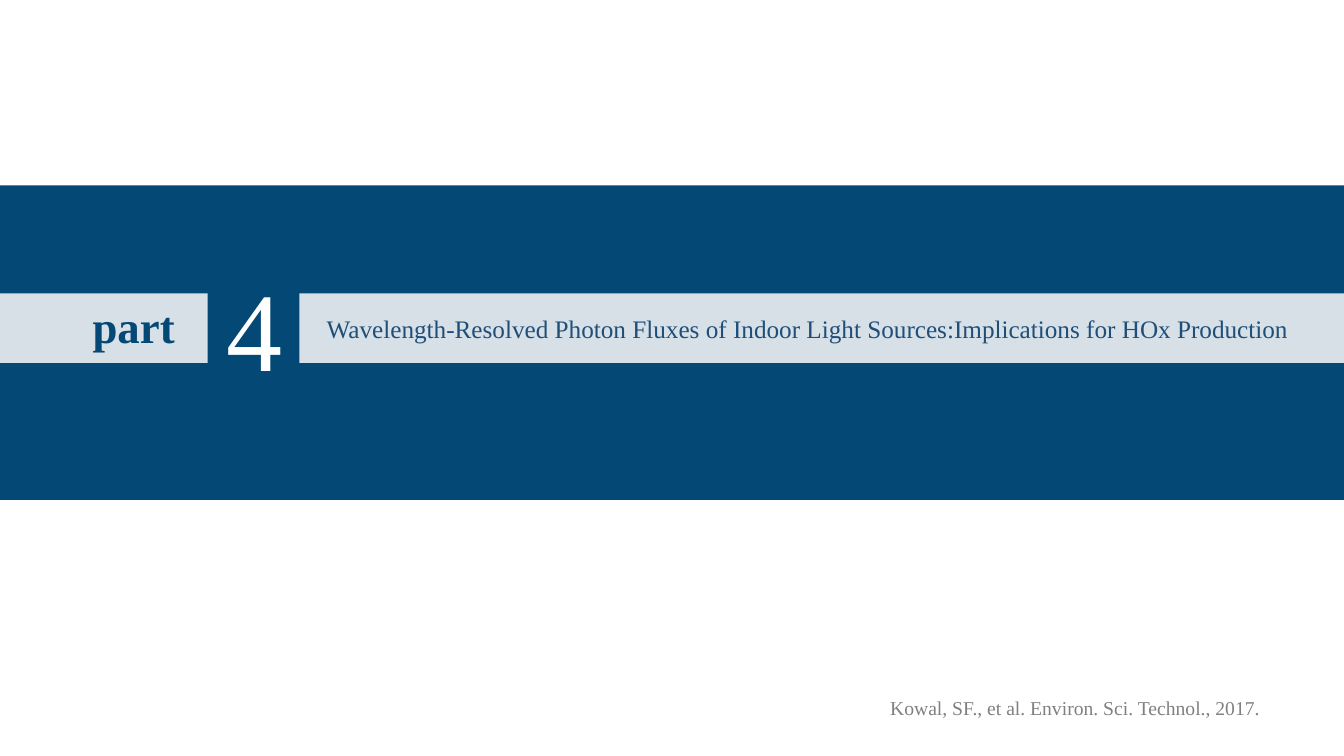
import pptx
import pptx.util
import pptx.dml.color
import pptx.enum.shapes
import pptx.enum.text

Inches = pptx.util.Inches
ALIGN = pptx.enum.text.PP_ALIGN

FONT = "Times New Roman"
COLORS = {
    "navy": "044875",
    "pale": "D6E0E6",
    "title": "1F4E79",
    "white": "FFFFFF",
    "grey": "808080",
}
WIDTH, HEIGHT = 13.33, 7.5
STRIP_TOP, STRIP_HEIGHT = 2.91, 0.69
NUMBER_LEFT, NUMBER_RIGHT = 2.06, 2.97

# left, top, width, height, colour
BARS = [
    (0, 1.84, WIDTH, 3.12, "navy"),
    (0, STRIP_TOP, NUMBER_LEFT, STRIP_HEIGHT, "pale"),
    (NUMBER_RIGHT, STRIP_TOP, WIDTH - NUMBER_RIGHT, STRIP_HEIGHT, "pale"),
]
TITLE = ("Wavelength-Resolved Photon Fluxes of Indoor Light Sources:"
         "Implications for HOx Production")
TITLE_BOX = (3.14, 3.06, 9.76, 0.4)

# text, box, size, colour, bold, alignment
LABELS = [
    ("4", (1.68, 2.53, 1.68, 1.45), 80, "white", False, ALIGN.CENTER),
    ("part", (0.82, 2.91, 1.13, 0.64), 32, "navy", True, ALIGN.LEFT),
    ("Kowal, SF., et al. Environ. Sci. Technol., 2017.",
     (8.73, 6.86, 3.95, 0.34), 14, "grey", False, ALIGN.LEFT),
]


def rgb(name):
    return pptx.dml.color.RGBColor.from_string(COLORS[name])


def write(sp, text, size, color, bold=False, align=ALIGN.LEFT):
    tf = sp.text_frame
    tf.text = text
    tf.word_wrap = False
    tf.auto_size = pptx.enum.text.MSO_AUTO_SIZE.NONE
    tf.vertical_anchor = pptx.enum.text.MSO_ANCHOR.TOP
    p = tf.paragraphs[0]
    p.alignment = align
    font = p.runs[0].font
    font.name = FONT
    font.size = pptx.util.Pt(size)
    font.bold = bold
    font.color.rgb = rgb(color)


def main():
    prs = pptx.Presentation()
    prs.slide_width, prs.slide_height = Inches(WIDTH), Inches(HEIGHT)
    s = prs.slides.add_slide(prs.slide_layouts.get_by_name("Title Only"))

    for *box, color in BARS:
        sp = s.shapes.add_shape(
            pptx.enum.shapes.MSO_SHAPE.RECTANGLE, *map(Inches, box))
        sp.shadow.inherit = False
        sp.fill.solid()
        sp.fill.fore_color.rgb = rgb(color)
        sp.line.fill.background()

    title = s.shapes.title
    title.left, title.top, title.width, title.height = map(Inches, TITLE_BOX)
    write(title, TITLE, 18, "title")
    # Bring the title in front of the bars
    title.element.getparent().append(title.element)

    for text, box, *style in LABELS:
        write(s.shapes.add_textbox(*map(Inches, box)), text, *style)

    prs.save("out.pptx")


if __name__ == "__main__":
    main()
